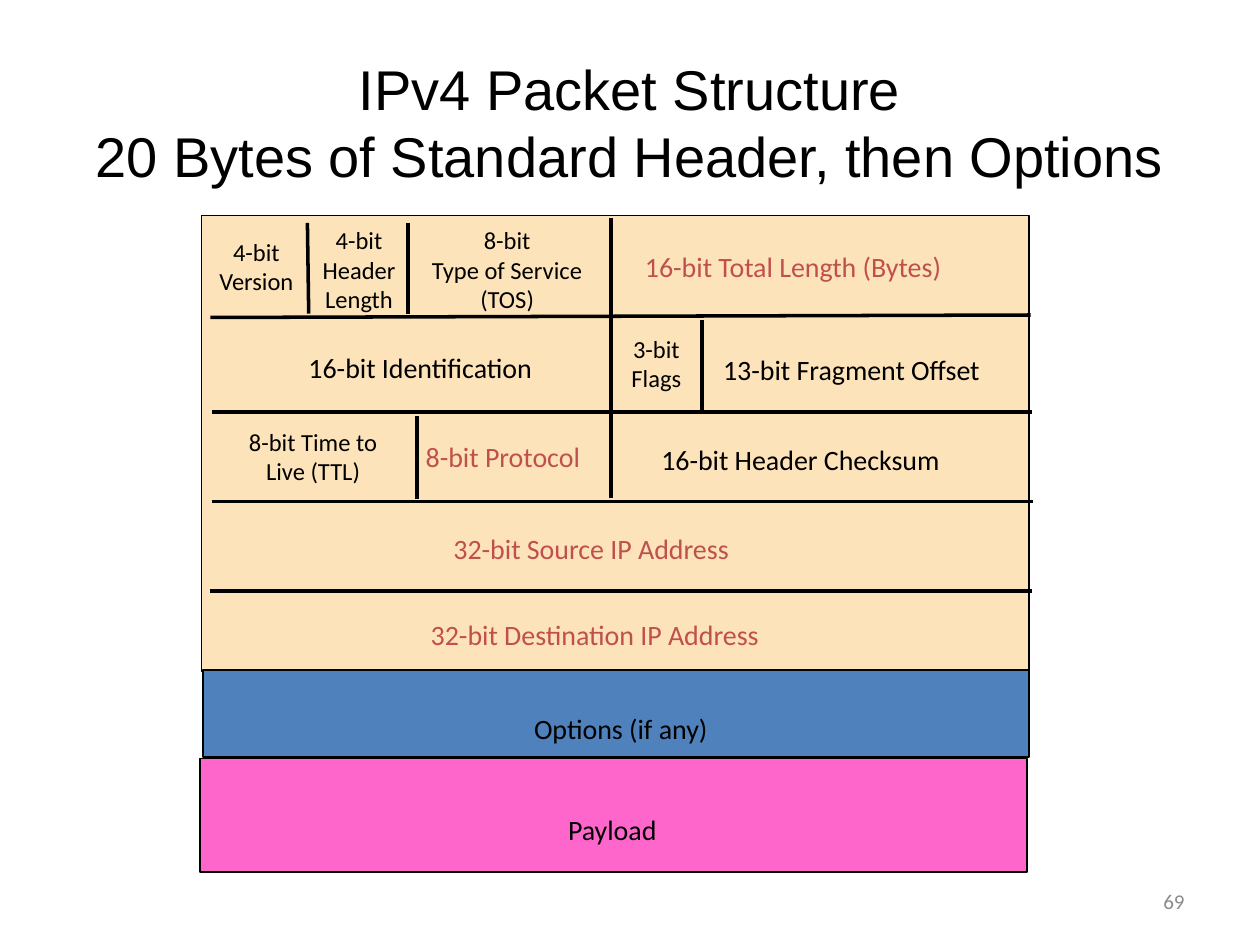
from pptx import Presentation
from pptx.dml.color import RGBColor
from pptx.enum.shapes import MSO_CONNECTOR, MSO_SHAPE
from pptx.enum.text import MSO_ANCHOR, MSO_AUTO_SIZE, PP_ALIGN
from pptx.oxml.ns import qn
from pptx.util import Inches, Pt

LINE, RECT = MSO_CONNECTOR.STRAIGHT, MSO_SHAPE.RECTANGLE
LEFT, MID, RIGHT = PP_ALIGN.LEFT, PP_ALIGN.CENTER, PP_ALIGN.RIGHT
TOP, CENTRE, BASE = MSO_ANCHOR.TOP, MSO_ANCHOR.MIDDLE, MSO_ANCHOR.BOTTOM
FIT, FIXED = MSO_AUTO_SIZE.SHAPE_TO_FIT_TEXT, MSO_AUTO_SIZE.NONE

THEME = {
    "ink": "000000", "key": "C0504D", "grey": "8C8C8C",
    "header": "FDE3BA", "options": "4F81BD", "payload": "FF66CC",
    "head": "Arial", "body": "Calibri",
    "title": 32, "field": 16, "small": 14, "number": 12,
    "edge": 1, "rule": 2,
}

TITLE = ["IPv4 Packet Structure", "20 Bytes of Standard Header, then Options"]
NUMBER = "69"

# Fill name, then left, top, width, height
BLOCKS = [
    ("header", (1.6, 1.71, 6.57, 3.62)),
    ("options", (1.61, 5.32, 6.56, 0.69)),
    ("payload", (1.59, 6.02, 6.56, 0.9)),
]

# Start x, start y, end x, end y
ROWS = [
    (1.67, 2.52, 8.18, 2.5),
    (1.68, 3.27, 8.19, 3.27),
    (1.68, 3.98, 8.2, 3.98),
    (1.67, 4.69, 8.19, 4.69),
]
SPLITS = [
    (4.85, 1.73, 4.85, 3.95),
    (3.24, 1.77, 3.24, 2.49),
    (2.44, 1.77, 2.45, 2.49),
    (5.57, 2.54, 5.57, 3.26),
    (3.31, 3.3, 3.31, 3.96),
]

# Lines of text, colour name, left, top, width
FIELDS = [
    (["4-bit", "Version"], "ink", 1.63, 1.83, 0.81),
    (["4-bit", "Header", "Length"], "ink", 2.45, 1.74, 0.8),
    (["8-bit", "Type of Service", "(TOS)"], "ink", 3.32, 1.74, 1.41),
    (["16-bit Total Length (Bytes)"], "key", 5.02, 1.93, 2.61),
    (["16-bit Identification"], "ink", 2.35, 2.73, 2.06),
    (["3-bit", "Flags"], "ink", 4.91, 2.6, 0.6),
    (["13-bit Fragment Offset"], "ink", 5.64, 2.75, 2.28),
    (["8-bit Time to", "Live (TTL)"], "ink", 1.87, 3.34, 1.23),
    (["8-bit Protocol"], "key", 3.28, 3.44, 1.45),
    (["16-bit Header Checksum"], "ink", 5.15, 3.46, 2.44),
    (["32-bit Source IP Address"], "key", 3.5, 4.17, 2.42),
    (["32-bit Destination IP Address"], "key", 3.32, 4.85, 2.85),
    (["Options (if any)"], "ink", 4.14, 5.6, 1.6),
    (["Payload"], "ink", 4.41, 6.4, 0.92),
]
HEIGHTS = {1: 0.37, 2: 0.57, 3: 0.81}


def tint(name):
    return RGBColor.from_string(THEME[name])


def apply(item, values):
    for name, value in values.items():
        setattr(item, name, value)


def style(para, face, size, color, align):
    para.alignment = align
    apply(para.font, {"name": THEME[face], "size": Pt(THEME[size])})
    para.font.color.rgb = tint(color)


def outline(item, size):
    item.line.color.rgb = tint("ink")
    item.line.width = Pt(THEME[size])


def add_block(slide, fill, place):
    block = slide.shapes.add_shape(RECT, *map(Inches, place))
    block.shadow.inherit = False
    block.fill.solid()
    block.fill.fore_color.rgb = tint(fill)
    outline(block, "edge")


def add_rule(slide, ends):
    rule = slide.shapes.add_connector(LINE, *map(Inches, ends))
    outline(rule, "rule")
    props = rule._element.spPr
    props.append(props.makeelement(qn("a:effectLst"), {}))


def add_text(slide, lines, place, size, color, align, frame):
    box = slide.shapes.add_textbox(*map(Inches, place)).text_frame
    apply(box, frame)
    box.text = "\n".join(lines)
    for para in box.paragraphs:
        style(para, "body", size, color, align)


def add_title(slide):
    title = slide.shapes.title
    place = map(Inches, (0.5, 0.3, 9, 1.25))
    apply(title, dict(zip(("left", "top", "width", "height"), place)))
    apply(title.text_frame, {"vertical_anchor": BASE, "word_wrap": True,
                             "auto_size": FIXED})
    para = title.text_frame.paragraphs[0]
    para.add_run().text = TITLE[0]
    para.add_line_break()
    para.add_run().text = TITLE[1]
    style(para, "head", "title", "ink", MID)


def main():
    deck = Presentation()
    apply(deck, {"slide_width": Inches(10), "slide_height": Inches(7.5)})
    slide = deck.slides.add_slide(deck.slide_layouts[5])
    add_title(slide)
    for fill, place in BLOCKS:
        add_block(slide, fill, place)
    for ends in ROWS + SPLITS:
        add_rule(slide, ends)
    frame = {"word_wrap": False, "auto_size": FIT, "vertical_anchor": TOP}
    for lines, color, left, top, width in FIELDS:
        size, align = ("field", LEFT) if len(lines) == 1 else ("small", MID)
        place = (left, top, width, HEIGHTS[len(lines)])
        add_text(slide, lines, place, size, color, align, frame)
    add_text(slide, [NUMBER], (7.17, 6.95, 2.33, 0.4), "number", "grey", RIGHT,
             {"word_wrap": True, "vertical_anchor": CENTRE})
    deck.save("out.pptx")


if __name__ == "__main__":
    main()
